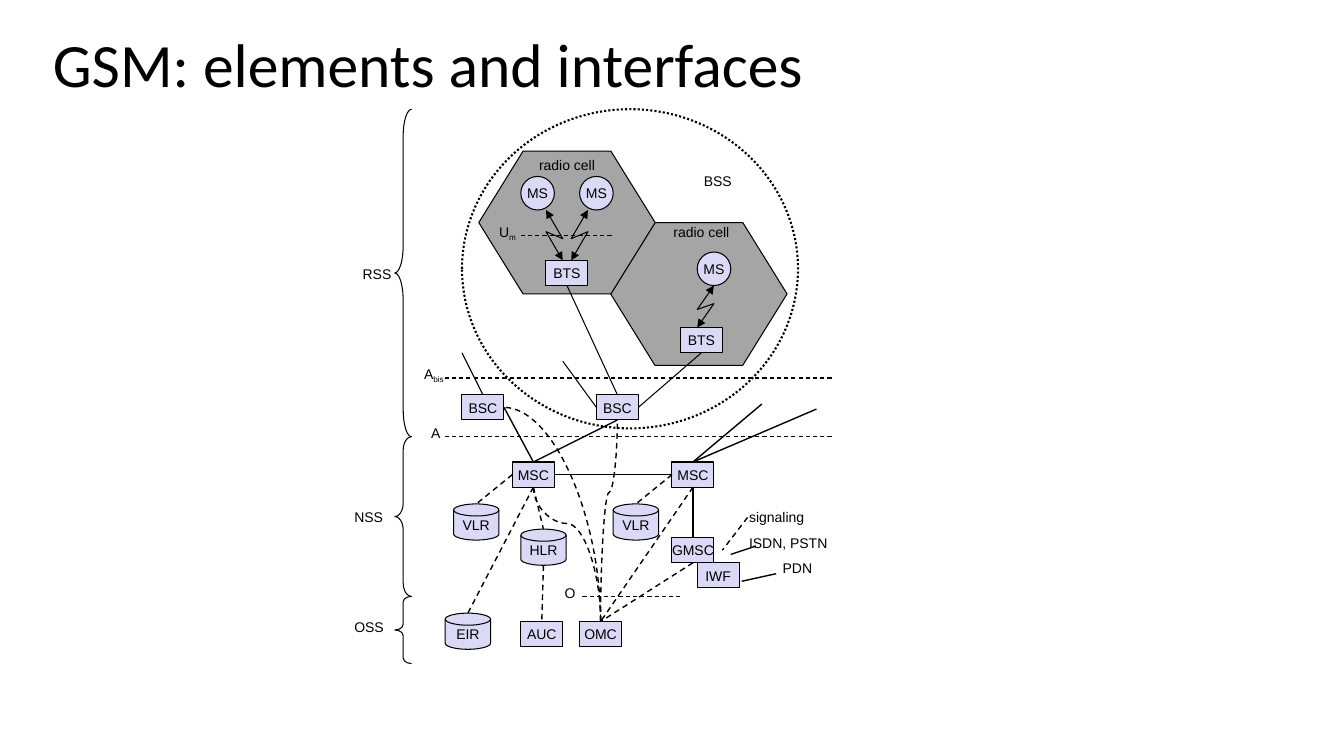
from dataclasses import dataclass

from lxml import etree
from pptx import Presentation, util as u
from pptx.dml.color import RGBColor
from pptx.enum import dml, shapes, text
from pptx.oxml.ns import qn

COLUMNS, ROWS = 160, 90
CELL = u.Inches(1) / 12
Point = tuple[float, float]
Auto = shapes.MSO_SHAPE
Align = text.PP_ALIGN
Dash = dml.MSO_LINE


@dataclass(frozen=True)
class Theme:
    ink: RGBColor = RGBColor(0, 0, 0)
    node: RGBColor = RGBColor(0xDA, 0xDA, 0xF6)
    cell: RGBColor = RGBColor(0xA5, 0xA5, 0xA5)
    title_font: str = "Calibri"
    label_font: str = "Arial"
    title_size: float = 44
    label_size: float = 10
    thin: float = 0.75
    medium: float = 1
    thick: float = 1.5


THEME = Theme()
SIZES = {Auto.RECTANGLE: (5, 3), Auto.OVAL: (4, 4), Auto.FLOWCHART_MAGNETIC_DISK: (5.4, 4.3)}


@dataclass(frozen=True)
class Node:
    name: str
    column: float
    row: float
    kind: Auto = Auto.RECTANGLE

    def side(self, across: float, down: float) -> Point:
        width, height = SIZES[self.kind]
        return self.column + across * width, self.row + down * height

    @property
    def top(self) -> Point:
        return self.side(0.5, 0)

    @property
    def bottom(self) -> Point:
        return self.side(0.5, 1)

    @property
    def left(self) -> Point:
        return self.side(0, 0.5)

    @property
    def right(self) -> Point:
        return self.side(1, 0.5)


@dataclass(frozen=True)
class Label:
    words: str
    column: float
    row: float
    width: float
    align: Align = Align.LEFT
    subscript: str = ""


@dataclass(frozen=True)
class Link:
    start: Point
    end: Point
    weight: float = THEME.medium
    dashed: bool = False


@dataclass(frozen=True)
class Curve:
    start: Point
    end: Point
    preset: str = "curvedConnector3"
    bend: float | None = None


BTS_1, BTS_2 = Node("BTS", 65, 31), Node("BTS", 81, 39)
BSC_1, BSC_2 = Node("BSC", 55, 47), Node("BSC", 71, 47)
MSC_1, MSC_2 = Node("MSC", 61, 55), Node("MSC", 80, 55)
GMSC, IWF = Node("GMSC", 80, 64), Node("IWF", 83, 67)
OMC, AUC = Node("OMC", 69, 74), Node("AUC", 62, 74)
EIR, HLR, VLR_1, VLR_2 = (Node(name, column, row, Auto.FLOWCHART_MAGNETIC_DISK) for name, column, row in
                          (("EIR", 53, 73), ("HLR", 62, 63), ("VLR", 54, 60), ("VLR", 73, 60)))
MOBILES = [Node("MS", column, row, Auto.OVAL) for column, row in ((62, 21), (69, 21), (83, 30))]
NODES = [*MOBILES, BTS_1, BTS_2, BSC_1, BSC_2, MSC_1, MSC_2, GMSC, IWF, OMC, AUC, EIR, HLR, VLR_1, VLR_2]

LINKS = [
    *(Link(start, end, THEME.thin) for start, end in (
        (BTS_1.bottom, BSC_2.top), (BTS_2.bottom, BSC_2.right),
        (BSC_1.top, (55, 42)), (BSC_2.left, (67, 43)))),
    *(Link(start, end) for start, end in (
        (BSC_2.bottom, MSC_1.top), (BSC_1.right, MSC_1.top), (MSC_2.left, MSC_1.right),
        (MSC_2.top, (90.7, 48.1)), (MSC_2.top, (97.2, 48.7)), (MSC_2.bottom, GMSC.top),
        ((87, 66), (90, 65)), ((88.3, 69.2), (92.4, 68.3)))),
    *(Link(start, end, dashed=True) for start, end in (
        (MSC_1.left, VLR_1.top), (MSC_2.left, VLR_2.top), (MSC_1.bottom, HLR.top),
        (MSC_1.bottom, EIR.top), (HLR.bottom, AUC.top), (MSC_2.bottom, OMC.top),
        (GMSC.bottom, OMC.top), ((89, 61.6), (86, 65.5)))),
    *(Link((first, row), (last, row), THEME.thin, True) for first, last, row in (
        (62, 73, 28), (99, 53, 45), (99, 53, 52), (81, 69, 71))),
]
CURVES = [
    Curve(OMC.top, BSC_2.bottom, bend=0.64),
    Curve(MSC_1.bottom, OMC.top, bend=0.27),
    Curve(OMC.top, BSC_1.right, "curvedConnector2"),
]
LABELS = [
    Label("RSS", 42, 31, 6), Label("NSS", 41, 60, 6), Label("OSS", 41, 73, 6),
    Label("radio cell", 63, 18, 11), Label("radio cell", 79, 26, 11),
    Label("signaling", 88, 60, 11), Label("ISDN, PSTN", 88, 63, 13), Label("PDN", 92, 66, 6),
    Label("BSS", 82.5, 20, 5.8, Align.RIGHT), Label("A", 50.1, 50, 3.5, Align.RIGHT),
    Label("O", 66, 69, 3.7, Align.RIGHT), Label("A", 49.1, 42.9, 4.9, Align.RIGHT, "bis"),
    Label("U", 58, 26, 4.6, Align.RIGHT, "m"),
]
BRACES = [(13, 39), (52, 19), (71, 8)]
ZIGZAGS = [((67, 31), (65, 25)), ((68, 31), (70, 25)), ((83, 39), (85, 34))]


def grid(*cells: float) -> list[int]:
    return [round(cell * CELL) for cell in cells]


def write(frame, words: str, *, subscript: str = "", size: float = THEME.label_size,
          font: str = THEME.label_font, align: Align = Align.LEFT, wrap: bool = False,
          anchor=text.MSO_ANCHOR.MIDDLE, spacing: float | None = None) -> None:
    frame.word_wrap = wrap
    frame.vertical_anchor = anchor
    paragraph = frame.paragraphs[0]
    paragraph.alignment = align
    paragraph.line_spacing = spacing
    for part in filter(None, (words, subscript)):
        run = paragraph.add_run()
        run.text = part
        run.font.name, run.font.size = font, u.Pt(size)
        run.font.color.rgb = THEME.ink
        if part == subscript:
            run.font._element.set("baseline", "-25000")


def stroke(line, weight: float = THEME.thin, dash=None) -> None:
    line.color.rgb = THEME.ink
    line.width = u.Pt(weight)
    if dash:
        line.dash_style = dash


def outline(shape, fill: RGBColor | None = None, weight: float = THEME.thin, dash=None) -> None:
    shape.shadow.inherit = False
    if fill is None:
        shape.fill.background()
    else:
        shape.fill.solid()
        shape.fill.fore_color.rgb = fill
    stroke(shape.line, weight, dash)


def draw_connector(slide, kind, start: Point, end: Point, weight: float, dashed: bool):
    connector = slide.shapes.add_connector(kind, *grid(*start, *end))
    stroke(connector.line, weight, Dash.DASH if dashed else None)
    etree.SubElement(connector._element.spPr, qn("a:effectLst"))
    return connector


def draw_curve(slide, curve: Curve) -> None:
    """Draw a curve that leaves its start vertically, by turning a horizontal one."""
    (x1, y1), (x2, y2) = curve.start, curve.end
    rightward, downward = x2 > x1, y2 > y1
    middle_x, middle_y = (x1 + x2) / 2, (y1 + y2) / 2
    half_width, half_height = abs(y2 - y1) / 2, abs(x2 - x1) / 2
    if rightward == downward:
        half_width = -half_width
    connector = draw_connector(slide, shapes.MSO_CONNECTOR.CURVE,
                               (middle_x - half_width, middle_y - half_height),
                               (middle_x + half_width, middle_y + half_height), THEME.medium, True)
    properties = connector._element.spPr
    properties.find(qn("a:xfrm")).set("rot", str((270 if rightward else 90) * 60000))
    geometry = properties.find(qn("a:prstGeom"))
    geometry.set("prst", curve.preset)
    if curve.bend is not None:
        etree.SubElement(geometry.find(qn("a:avLst")), qn("a:gd"), name="adj1",
                         fmla=f"val {round(curve.bend * 100000)}")


def draw_zigzag(slide, start: Point, end: Point) -> None:
    (x1, y1), (x2, y2) = start, end
    rise = y2 - y1
    builder = slide.shapes.build_freeform(*grid(x1, y1))
    bends = [(x2, y1 + 0.57 * rise), (x1, y1 + 0.43 * rise), end]
    builder.add_line_segments([tuple(grid(*bend)) for bend in bends], close=False)
    zigzag = builder.convert_to_shape()
    outline(zigzag)
    for tip in ("a:headEnd", "a:tailEnd"):
        etree.SubElement(zigzag.line._get_or_add_ln(), qn(tip), type="triangle")


def draw_areas(slide) -> None:
    for column, row in ((72.7, 26.5), (57, 18)):
        hexagon = slide.shapes.add_shape(Auto.HEXAGON, *grid(column, row, 21, 17))
        hexagon.adjustments[0] = 0.31
        outline(hexagon, THEME.cell)
    station_area = slide.shapes.add_shape(Auto.OVAL, *grid(55, 13, 40, 38))
    outline(station_area, weight=THEME.thick, dash=Dash.ROUND_DOT)
    for row, height in BRACES:
        brace = slide.shapes.add_shape(Auto.LEFT_BRACE, *grid(47, row, 2, height))
        brace.adjustments[0] = height / 24
        outline(brace)


def main() -> None:
    presentation = Presentation()
    presentation.slide_width, presentation.slide_height = grid(COLUMNS, ROWS)
    slide = presentation.slides.add_slide(presentation.slide_layouts[5])
    title = slide.shapes.title
    title.left, title.top, title.width, title.height = grid(5.1, 3, 149, 10)
    write(title.text_frame, "GSM: elements and interfaces", size=THEME.title_size,
          font=THEME.title_font, wrap=True, spacing=0.9)
    draw_areas(slide)
    for node in NODES:
        shape = slide.shapes.add_shape(node.kind, *grid(node.column, node.row, *SIZES[node.kind]))
        outline(shape, THEME.node)
        write(shape.text_frame, node.name, align=Align.CENTER)
    for start, end in ZIGZAGS:
        draw_zigzag(slide, start, end)
    for link in LINKS:
        draw_connector(slide, shapes.MSO_CONNECTOR.STRAIGHT, link.start, link.end, link.weight, link.dashed)
    for curve in CURVES:
        draw_curve(slide, curve)
    for label in LABELS:
        frame = slide.shapes.add_textbox(*grid(label.column, label.row, label.width, 3.2)).text_frame
        frame.auto_size = text.MSO_AUTO_SIZE.SHAPE_TO_FIT_TEXT
        write(frame, label.words, subscript=label.subscript, align=label.align, anchor=text.MSO_ANCHOR.TOP)
    presentation.save("out.pptx")


if __name__ == "__main__":
    main()
